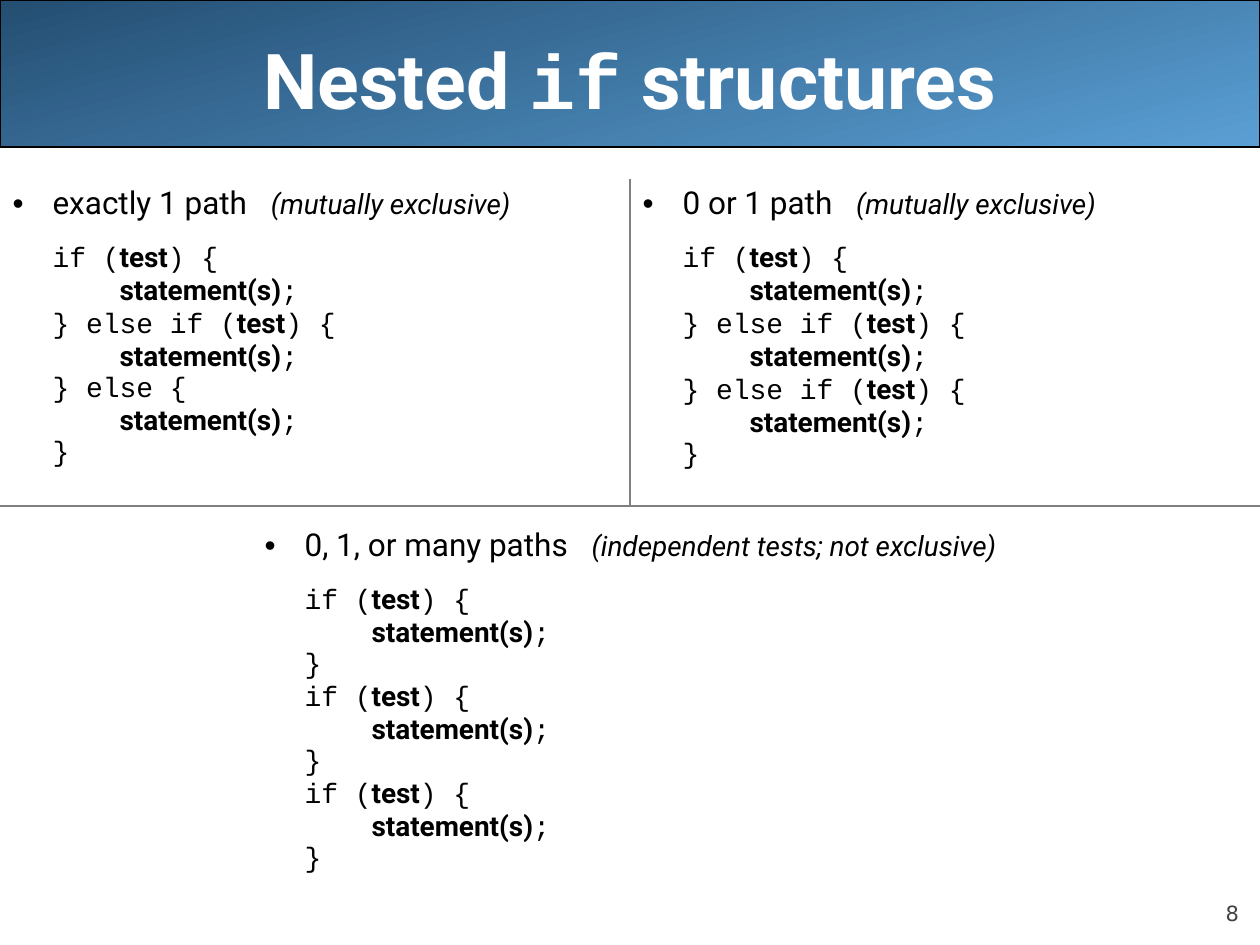
import lxml.etree
import pptx
import pptx.dml.color
import pptx.enum.shapes
import pptx.enum.text
import pptx.oxml.ns
import pptx.util

PX = 914400 / 126
COLORS = {"black": "000000", "white": "FFFFFF", "dark": "244E72",
          "light": "5A9FD4", "rule": "808080", "number": "424242"}
SANS, MONO = "Roboto", "Courier New"
HANG, CODE_STEP = 40, 67
qn = pptx.oxml.ns.qn

IF, ELSE_IF, BODY = "if (test) {", "} else if (test) {", "statement(s);"
# heading, remark, code lines
EXACTLY_ONE = ("exactly 1 path", "(mutually exclusive)",
               [IF, BODY, ELSE_IF, BODY, "} else {", BODY, "}"])
ZERO_OR_ONE = ("0 or 1 path", "(mutually exclusive)",
               [IF, BODY, ELSE_IF, BODY, ELSE_IF, BODY, "}"])
MANY = ("0, 1, or many paths", "(independent tests; not exclusive)",
        [IF, BODY, "}"] * 3)


def px(n):
    return pptx.util.Emu(round(n * PX))


def rgb(name):
    return pptx.dml.color.RGBColor.from_string(COLORS[name])


def add_run(p, text, size, font=SANS, color="black", bold=False, italic=False):
    r = p.add_run()
    r.text = text
    f = r.font
    f.size, f.name, f.bold, f.italic = pptx.util.Pt(size), font, bold, italic
    f.color.rgb = rgb(color)
    return r


def set_indent(p, left, first=0):
    pPr = p._p.get_or_add_pPr()
    pPr.set("marL", str(px(left)))
    pPr.set("indent", str(px(first)))
    return pPr


def add_banner(layout_shapes):
    sp = layout_shapes.add_shape(pptx.enum.shapes.MSO_SHAPE.RECTANGLE,
                                 0, 0, px(1260), px(147))
    sp.shadow.inherit = False
    sp.fill.gradient()
    sp.fill.gradient_angle = 285
    for stop, name in zip(sp.fill.gradient_stops, ("dark", "light")):
        stop.color.rgb = rgb(name)
    sp.line.color.rgb = rgb("black")
    sp.line.width = pptx.util.Pt(0.75)
    return sp


def fill_title(title):
    title.left, title.top, title.width, title.height = 0, 0, px(1260), px(158)
    tf = title.text_frame
    tf.vertical_anchor = pptx.enum.text.MSO_ANCHOR.MIDDLE
    p = tf.paragraphs[0]
    p.alignment = pptx.enum.text.PP_ALIGN.CENTER
    for text, font in (("Nested ", SANS), ("if", MONO), (" structures", SANS)):
        add_run(p, text, 44, font, "white", bold=True)


def add_heading(p, text, remark, left):
    pPr = set_indent(p, left, -HANG)
    color = lxml.etree.SubElement(pPr, qn("a:buClr"))
    lxml.etree.SubElement(color, qn("a:srgbClr"), val=COLORS["black"])
    lxml.etree.SubElement(pPr, qn("a:buFont"), typeface="Arial")
    lxml.etree.SubElement(pPr, qn("a:buChar"), char="•")
    add_run(p, text, 18)
    # One widened space separates the remark
    gap = add_run(p, " ", 18)
    gap._r.get_or_add_rPr().set("spc", "900")
    add_run(p, remark, 16, italic=True)


def add_code_line(p, line, left, before):
    set_indent(p, left + (CODE_STEP if line == BODY else 0))
    p.line_spacing = 0.8
    p.space_before = pptx.util.Pt(before)
    word = "statement(s)" if line == BODY else "test"
    head, found, tail = line.partition(word)
    for text, bold in ((head, False), (found, True), (tail, False)):
        if text:
            add_run(p, text, 16, SANS if bold else MONO, bold=bold)


def fill_cell(cell, block, left=HANG):
    heading, remark, code = block
    tf = cell.text_frame
    add_heading(tf.paragraphs[0], heading, remark, left)
    for i, line in enumerate(code):
        add_code_line(tf.add_paragraph(), line, left, 3.2 if i else 13.4)


def set_borders(cell, sides):
    """Draw the listed sides and leave the others empty."""
    cell.fill.background()
    tcPr = cell._tc.get_or_add_tcPr()
    for i, side in enumerate("LRTB"):
        ln = lxml.etree.Element(qn("a:ln" + side), w="9525")
        if side in sides:
            fill = lxml.etree.SubElement(ln, qn("a:solidFill"))
            lxml.etree.SubElement(fill, qn("a:srgbClr"), val=COLORS["rule"])
        else:
            lxml.etree.SubElement(ln, qn("a:noFill"))
        tcPr.insert(i, ln)


def add_structures(slide):
    table = slide.shapes.add_table(2, 2, 0, px(179), px(1260), px(714)).table
    table.first_row = table.horz_banding = False
    for row, height in zip(table.rows, (327, 387)):
        row.height = px(height)
    exactly, at_most, many = table.cell(0, 0), table.cell(0, 1), table.cell(1, 0)
    many.merge(table.cell(1, 1))
    many.margin_top = px(21)
    fill_cell(exactly, EXACTLY_ONE)
    fill_cell(at_most, ZERO_OR_ONE)
    fill_cell(many, MANY, left=292)
    for cell, sides in ((exactly, "RB"), (at_most, "LB"),
                        (many, "T"), (table.cell(1, 1), "T")):
        set_borders(cell, sides)


def add_page_number(slide, number):
    tf = slide.shapes.add_textbox(px(1134), px(876), px(105), px(50)).text_frame
    tf.word_wrap = True
    tf.margin_left = tf.margin_right = tf.margin_top = tf.margin_bottom = 0
    tf.vertical_anchor = pptx.enum.text.MSO_ANCHOR.BOTTOM
    p = tf.paragraphs[0]
    p.alignment = pptx.enum.text.PP_ALIGN.RIGHT
    add_run(p, number, 12, "DejaVu Sans", "number")


def main():
    prs = pptx.Presentation()
    prs.slide_width, prs.slide_height = px(1260), px(945)
    slide = prs.slides.add_slide(prs.slide_layouts[5])
    # Banner goes behind the title
    banner = add_banner(slide.shapes)
    title = slide.shapes.title
    title._element.addprevious(banner._element)
    fill_title(title)
    # Code structures and page number
    add_structures(slide)
    add_page_number(slide, "8")
    prs.save("out.pptx")


if __name__ == "__main__":
    main()
